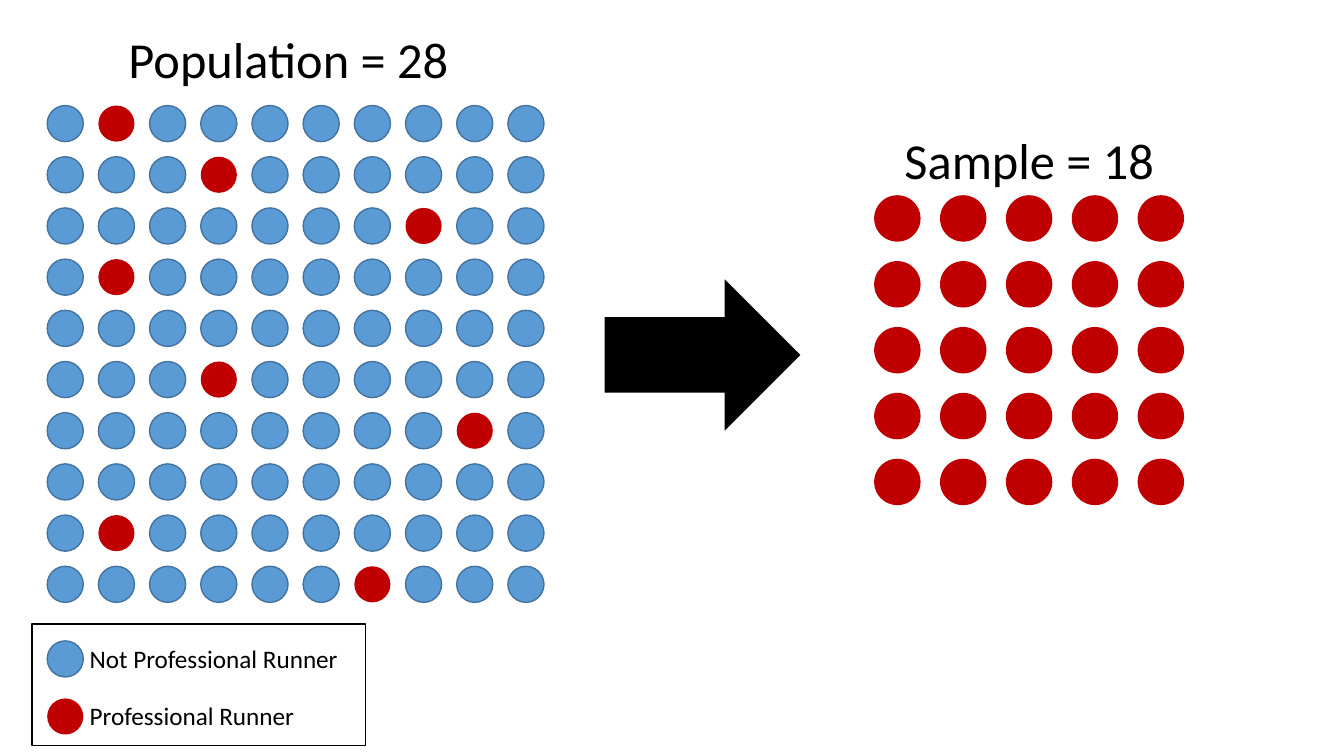
"""Build a slide showing a sample of professional runners drawn from a population."""
from dataclasses import dataclass

from pptx import Presentation, util as u
from pptx.dml.color import RGBColor
from pptx.enum import shapes, text
from pptx.slide import Slide

COLOURS = {
    "amateur": "5B9BD5",
    "amateur_line": "43739E",
    "professional": "C00000",
    "black": "000000",
    "white": "FFFFFF",
}
FONT = "Calibri"
PROFESSIONALS = {(0, 1), (1, 3), (2, 7), (3, 1), (5, 3), (6, 8), (8, 1), (9, 6)}


@dataclass(frozen=True)
class Box:
    left: float
    top: float
    width: float
    height: float

    def lengths(self) -> tuple[u.Length, ...]:
        return tuple(u.Cm(value) for value in (self.left, self.top, self.width, self.height))


@dataclass(frozen=True)
class Grid:
    left: float
    top: float
    pitch: float
    diameter: float
    count: int
    professionals: set[tuple[int, int]]


@dataclass(frozen=True)
class Label:
    wording: str
    box: Box
    size: int
    alignment: text.PP_ALIGN


@dataclass(frozen=True)
class LegendEntry:
    wording: str
    top: float
    professional: bool


POPULATION = Grid(1.19, 2.66, 1.29, 0.91, 10, PROFESSIONALS)
SAMPLE = Grid(22.03, 4.92, 1.66, 1.17, 5, {(row, column) for row in range(5) for column in range(5)})
TITLES = (
    Label("Population = 28", Box(0.36, 0.58, 13.82, 2.44), 36, text.PP_ALIGN.CENTER),
    Label("Sample = 18", Box(22.17, 3.12, 7.54, 1.8), 36, text.PP_ALIGN.CENTER),
)
LEGEND = (
    LegendEntry("Not Professional Runner", 16.15, False),
    LegendEntry("Professional Runner", 17.6, True),
)
LEGEND_FRAME = Box(0.81, 15.72, 8.41, 3.07)
ARROW = Box(15.24, 7.04, 4.93, 3.81)


def add_figure(slide: Slide, kind: shapes.MSO_SHAPE, box: Box, fill: str, line: str | None = None) -> None:
    """Add a preset shape with a flat fill and an optional outline."""
    shape = slide.shapes.add_shape(kind, *box.lengths())
    shape.shadow.inherit = False
    shape.fill.solid()
    shape.fill.fore_color.rgb = RGBColor.from_string(COLOURS[fill])
    if line:
        shape.line.color.rgb = RGBColor.from_string(COLOURS[line])
        shape.line.width = u.Pt(1)
    else:
        shape.line.fill.background()


def add_runner(slide: Slide, left: float, top: float, diameter: float, professional: bool) -> None:
    """Add one runner as a coloured dot."""
    fill, line = ("professional", None) if professional else ("amateur", "amateur_line")
    add_figure(slide, shapes.MSO_SHAPE.OVAL, Box(left, top, diameter, diameter), fill, line)


def add_grid(slide: Slide, grid: Grid) -> None:
    """Add a square grid of runners."""
    for row in range(grid.count):
        for column in range(grid.count):
            left = grid.left + column * grid.pitch
            top = grid.top + row * grid.pitch
            add_runner(slide, left, top, grid.diameter, (row, column) in grid.professionals)


def add_label(slide: Slide, label: Label) -> None:
    """Add a text box holding one line of text."""
    text_frame = slide.shapes.add_textbox(*label.box.lengths()).text_frame
    text_frame.word_wrap = True
    text_frame.auto_size = text.MSO_AUTO_SIZE.SHAPE_TO_FIT_TEXT
    text_frame.text = label.wording
    paragraph = text_frame.paragraphs[0]
    paragraph.alignment = label.alignment
    font = paragraph.runs[0].font
    font.name = FONT
    font.size = u.Pt(label.size)
    font.color.rgb = RGBColor.from_string(COLOURS["black"])


def add_legend_entry(slide: Slide, entry: LegendEntry) -> None:
    """Add a legend dot and its wording."""
    add_runner(slide, POPULATION.left, entry.top, POPULATION.diameter, entry.professional)
    box = Box(2.01, entry.top - 0.07, 7.04, 1.03)
    add_label(slide, Label(entry.wording, box, 18, text.PP_ALIGN.LEFT))


def main() -> None:
    """Draw the slide and save the presentation."""
    presentation = Presentation()
    presentation.slide_width = u.Cm(33.87)
    presentation.slide_height = u.Cm(19.05)
    slide = presentation.slides.add_slide(presentation.slide_layouts[6])
    add_grid(slide, POPULATION)
    for title in TITLES:
        add_label(slide, title)
    add_grid(slide, SAMPLE)
    add_figure(slide, shapes.MSO_SHAPE.RECTANGLE, LEGEND_FRAME, "white", "black")
    add_figure(slide, shapes.MSO_SHAPE.RIGHT_ARROW, ARROW, "black")
    for entry in LEGEND:
        add_legend_entry(slide, entry)
    presentation.save("out.pptx")


main()
